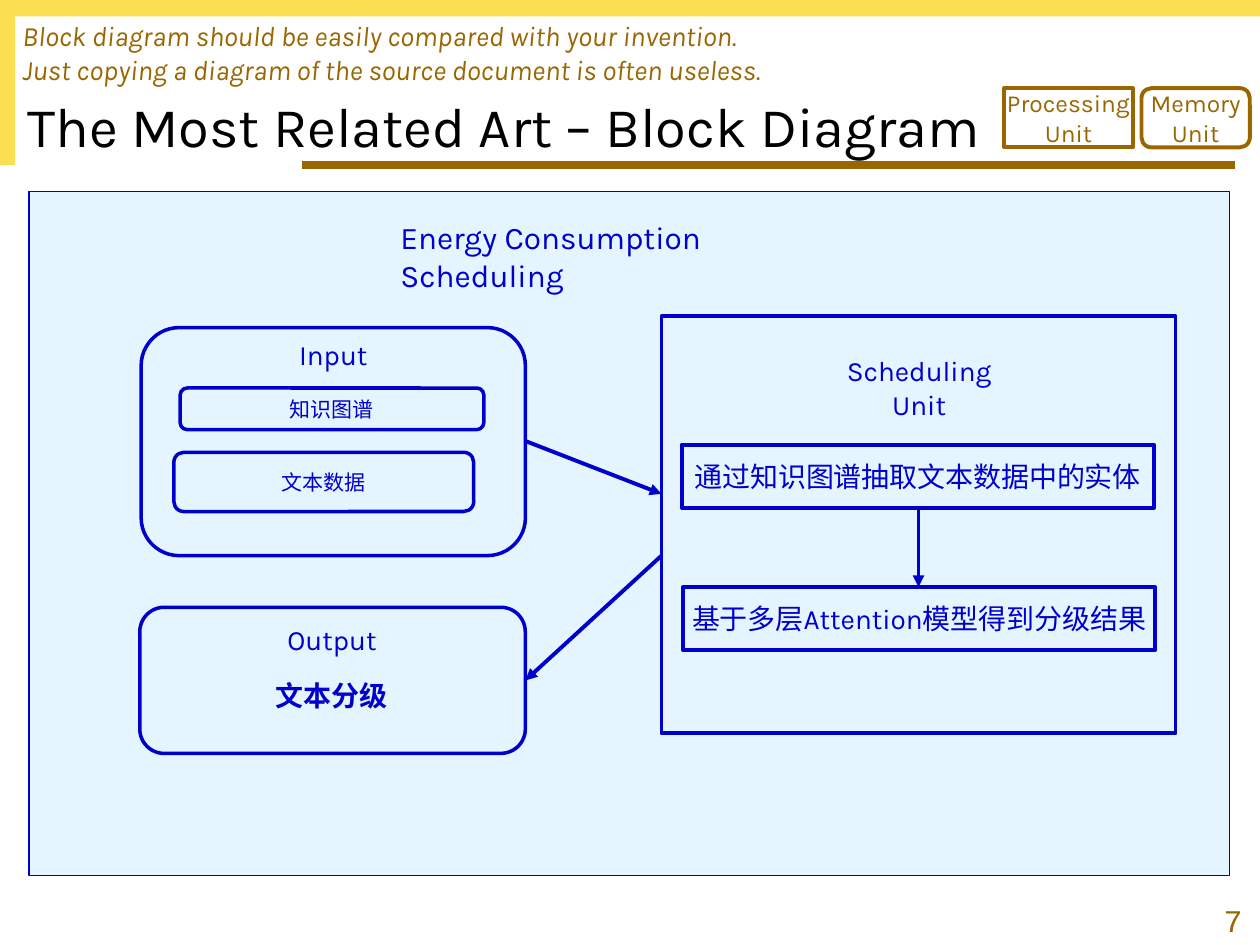
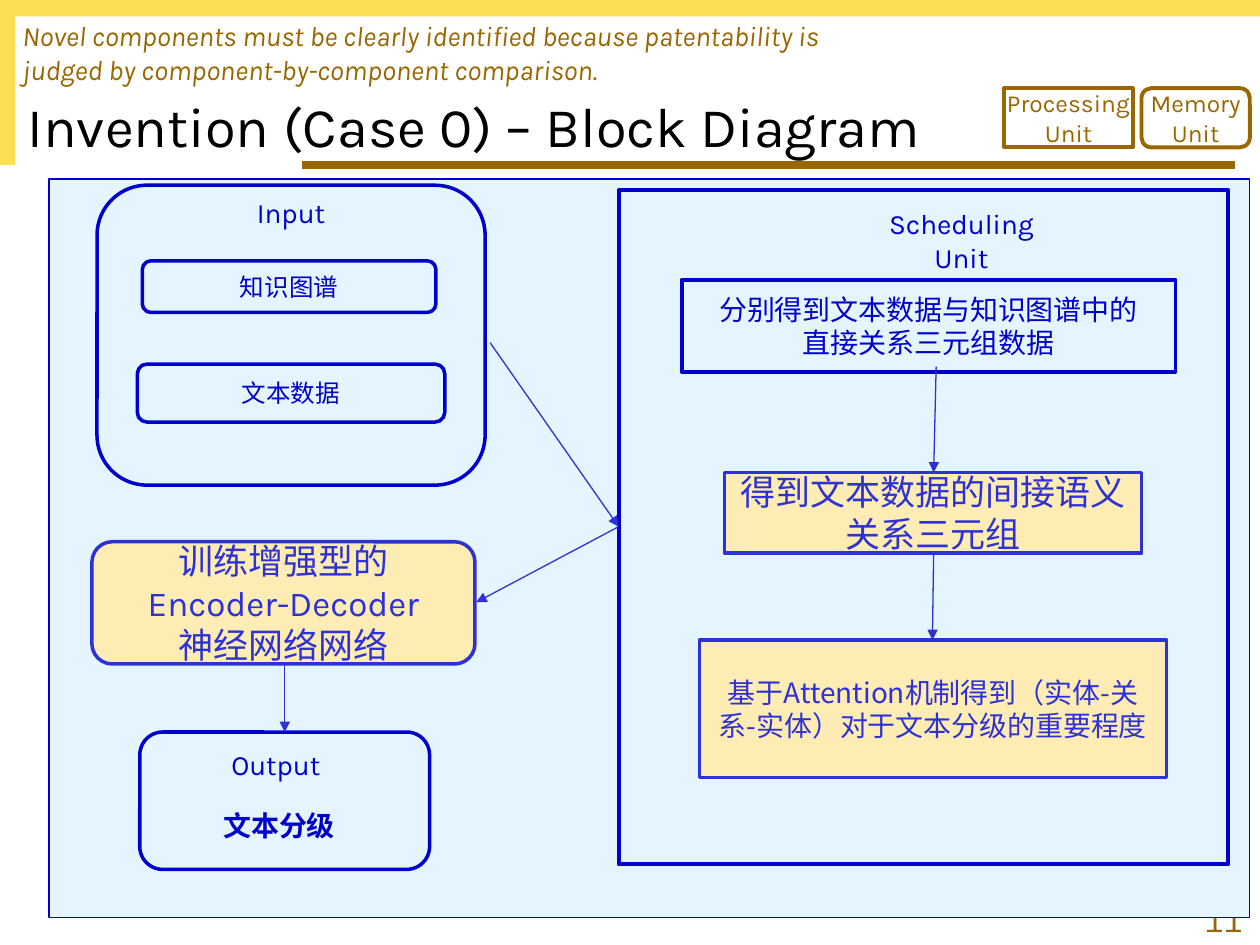
from dataclasses import dataclass

from lxml import etree
from pptx import Presentation
from pptx.dml.color import RGBColor
from pptx.enum.shapes import MSO_CONNECTOR, MSO_SHAPE
from pptx.enum.text import MSO_ANCHOR, PP_ALIGN
from pptx.oxml.ns import qn
from pptx.util import Inches, Pt

RECT, ROUND = MSO_SHAPE.RECTANGLE, MSO_SHAPE.ROUNDED_RECTANGLE
STRAIGHT = MSO_CONNECTOR.STRAIGHT
TOP, MIDDLE, BOTTOM = MSO_ANCHOR.TOP, MSO_ANCHOR.MIDDLE, MSO_ANCHOR.BOTTOM
LEFT, CENTER, RIGHT = PP_ALIGN.LEFT, PP_ALIGN.CENTER, PP_ALIGN.RIGHT
COLUMNS, ROWS = 100, 75
CELL = Inches(10) / COLUMNS


@dataclass(frozen=True)
class Theme:
    band: str = "FBDF53"
    brown: str = "996600"
    title: str = "000000"
    panel: str = "E5F5FF"
    blue: str = "0000CC"
    novel_fill: str = "FDECB3"
    novel: str = "2E31D6"
    font: str = "Karla"
    cjk_font: str = "Noto Sans CJK SC"
    number_font: str = "Courier New"
    title_size: int = 32
    large: int = 20
    heading: int = 18
    body: int = 16
    legend: int = 14
    small: int = 12
    thin: float = 0.75
    outline: float = 2
    thick: float = 2.25
    rule: float = 4.5


T = Theme()


@dataclass(frozen=True)
class Box:
    x: float
    y: float
    w: float
    h: float

    def inner(self, x, y, w, h):
        return Box(self.x + x, self.y + y, w, h)

    def emu(self):
        return [round(v * CELL) for v in (self.x, self.y, self.w, self.h)]


def write(sp, *lines, size=T.body, color=T.blue, font=T.font, align=CENTER,
          anchor=MIDDLE, wrap=True, bold=False, italic=False):
    tf = sp.text_frame
    tf.word_wrap = wrap
    tf.vertical_anchor = anchor
    for i, line in enumerate(lines):
        p = tf.add_paragraph() if i else tf.paragraphs[0]
        p.text = line
        p.alignment = align
        p.font.size = Pt(size)
        p.font.name = font
        p.font.bold = bold
        p.font.italic = italic
        p.font.color.rgb = RGBColor.from_string(color)


def add_label(s, box, *lines, anchor=TOP, **style):
    write(s.shapes.add_textbox(*box.emu()), *lines, anchor=anchor, **style)


def add_block(s, kind, box, fill=None, line=None, width=T.outline):
    sp = s.shapes.add_shape(kind, *box.emu())
    sp.shadow.inherit = False
    if fill:
        sp.fill.solid()
        sp.fill.fore_color.rgb = RGBColor.from_string(fill)
    else:
        sp.fill.background()
    if line:
        sp.line.color.rgb = RGBColor.from_string(line)
        sp.line.width = Pt(width)
    else:
        sp.line.fill.background()
    return sp


def add_line(s, box, start, end, color, width, arrow=True):
    points = (box.x + start[0], box.y + start[1], box.x + end[0], box.y + end[1])
    cn = s.shapes.add_connector(STRAIGHT, *(round(v * CELL) for v in points))
    cn.line.color.rgb = RGBColor.from_string(color)
    cn.line.width = Pt(width)
    props = cn.element.spPr
    if arrow:
        etree.SubElement(props.find(qn("a:ln")), qn("a:tailEnd"), type="triangle")
    etree.SubElement(props, qn("a:effectLst"))


def add_legend(s, box):
    for kind, name, area in (
        (ROUND, "Memory", box.inner(10.9, 0, 8.6, box.h)),
        (RECT, "Processing", box.inner(0, 0, 10.2, box.h)),
    ):
        sp = add_block(s, kind, area, line=T.brown, width=T.thick)
        write(sp, name, "Unit", size=T.legend, color=T.brown, wrap=False)


def add_frame(s, box, title, advice, number):
    add_block(s, RECT, box.inner(0, 0, box.w, 1.3), fill=T.band)
    add_block(s, RECT, box.inner(0, 0, 1.2, 13.1), fill=T.band)
    add_line(s, box, (24, 13.1), (98, 13.1), T.brown, T.rule, arrow=False)
    add_label(s, box.inner(76.3, 71.4, 23.3, 3.6), number, size=T.heading,
              color=T.brown, font=T.number_font, align=RIGHT, anchor=BOTTOM)
    add_label(s, box.inner(1.2, 1.3, 96.9, 11.8), title, size=T.title_size,
              color=T.title, align=LEFT, anchor=BOTTOM)
    add_label(s, box.inner(0.8, 1, 66.4, 6.4), *advice, color=T.brown,
              align=LEFT, italic=True)
    add_legend(s, box.inner(79.7, 7, 19.5, 4.7))


def add_input(s, box, graph, text, size):
    add_block(s, ROUND, box, T.panel, T.blue)
    add_label(s, box.inner(0, 0.3, box.w, 3.7), "Input")
    for name, area in (("知识图谱", graph), ("文本数据", text)):
        sp = add_block(s, ROUND, box.inner(*area), T.panel, T.blue)
        write(sp, name, size=size)


def add_output(s, box, label, result):
    add_block(s, ROUND, box, T.panel, T.blue)
    add_label(s, box.inner(*label), "Output")
    add_label(s, box.inner(*result), "文本分级", bold=True)


def add_scheduling(s, box, label):
    add_block(s, RECT, box, T.panel, T.blue, T.thick)
    add_label(s, box.inner(*label), "Scheduling Unit")


def add_step(s, box, text):
    sp = add_block(s, RECT, box, T.panel, T.blue, T.thick)
    write(sp, text, wrap=False)


def add_novel(s, kind, box, text, **style):
    sp = add_block(s, kind, box, T.novel_fill, T.novel)
    write(sp, text, color=T.novel, **style)


def related_art(s, box):
    add_block(s, RECT, box, T.panel, T.blue, T.thin)
    add_label(s, box.inner(28.5, 1.6, 38.3, 4), "Energy Consumption Scheduling",
              size=T.heading, align=LEFT)
    unit = box.inner(50.2, 9.9, 40.8, 33.1)
    add_scheduling(s, unit, (11.5, 2.5, 17.9, 3.7))
    add_step(s, unit.inner(1.6, 10.2, 37.5, 5), "通过知识图谱抽取文本数据中的实体")
    add_step(s, unit.inner(1.7, 21.5, 37.5, 5), "基于多层Attention模型得到分级结果")
    add_input(s, box.inner(8.9, 10.8, 30.5, 18.1),
              (3.1, 4.8, 24.1, 3.3), (2.6, 9.9, 23.8, 4.7), T.small)
    add_output(s, box.inner(8.8, 33, 30.6, 11.6),
               (8.2, 0.7, 14.1, 3.7), (4.5, 5.2, 21.4, 3.7))
    for start, end in (
        ((39.4, 19.8), (50.2, 24)),
        ((50.2, 28.9), (39.4, 38.8)),
        ((70.6, 25.1), (70.6, 31.4)),
    ):
        add_line(s, box, start, end, T.blue, T.thick)


def invention(s, box):
    add_block(s, RECT, box, T.panel, T.blue, T.thin)
    unit = box.inner(45.2, 0.9, 48.4, 53.5)
    add_scheduling(s, unit, (18.1, 0.8, 18.2, 3.7))
    add_step(s, unit.inner(5, 7.1, 39.2, 7.3),
             "分别得到文本数据与知识图谱中的\n直接关系三元组数据")
    add_novel(s, RECT, unit.inner(8.4, 22.4, 33.1, 6.4),
              "得到文本数据的间接语义关系三元组", size=T.large)
    add_novel(s, RECT, unit.inner(6.4, 35.7, 37.1, 10.9),
              "基于Attention机制得到（实体-关系-实体）对于文本分级的重要程度",
              font=T.cjk_font)
    add_input(s, box.inner(3.8, 0.5, 30.8, 23.8),
              (3.6, 6, 23.3, 4.1), (3.2, 14.2, 24.4, 4.6), T.legend)
    add_novel(s, ROUND, box.inner(3.4, 28.8, 30.4, 9.7),
              "训练增强型的Encoder-Decoder\n神经网络网络", size=T.large)
    add_output(s, box.inner(7.2, 43.9, 23, 10.9),
               (5.5, 0.7, 10.6, 3.5), (3, 5.6, 16.1, 3.5))
    for start, end in (
        ((35, 13), (45.2, 27.6)),
        ((45.2, 27.6), (33.9, 33.6)),
        ((18.7, 38.4), (18.7, 43.9)),
        ((70.4, 14.9), (70.2, 23.3)),
        ((70.2, 29.7), (70.1, 36.6)),
    ):
        add_line(s, box, start, end, T.novel, T.thin)


def main():
    prs = Presentation()
    page = Box(0, 0, COLUMNS, ROWS)
    prs.slide_width, prs.slide_height = page.emu()[2:]
    blank = prs.slide_layouts[6]

    s = prs.slides.add_slide(blank)
    add_frame(s, page, "The Most Related Art – Block Diagram",
              ("Block diagram should be easily compared with your invention.",
               "Just copying a diagram of the source document is often useless."), "7")
    related_art(s, page.inner(2.3, 15.2, 95.3, 54.3))

    s = prs.slides.add_slide(blank)
    add_frame(s, page, "Invention (Case 0) – Block Diagram",
              ("Novel components must be clearly identified because patentability is "
               "judged by component-by-component comparison.",), "11")
    invention(s, page.inner(3.9, 14.2, 95.3, 58.6))

    prs.save("out.pptx")


if __name__ == "__main__":
    main()
